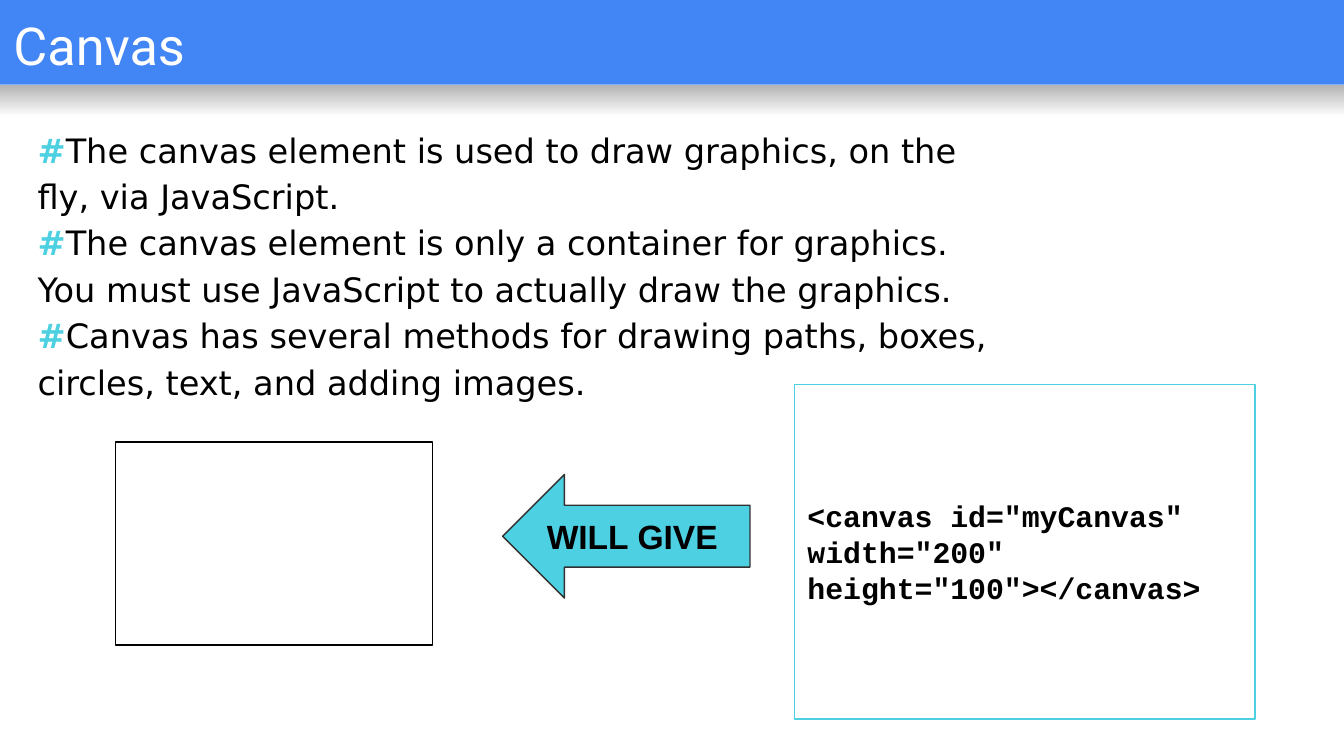
from dataclasses import dataclass
from typing import Optional

from lxml import etree
from pptx import Presentation
from pptx.dml.color import RGBColor
from pptx.enum.shapes import MSO_SHAPE
from pptx.enum.text import MSO_ANCHOR, MSO_AUTO_SIZE, PP_ALIGN
from pptx.oxml.ns import qn
from pptx.util import Inches, Pt

RECT, LEFT_ARROW = MSO_SHAPE.RECTANGLE, MSO_SHAPE.LEFT_ARROW
TOP, MIDDLE = MSO_ANCHOR.TOP, MSO_ANCHOR.MIDDLE
LEFT = PP_ALIGN.LEFT
NO_AUTOFIT = MSO_AUTO_SIZE.NONE

COLORS = {
    "blue": "4285F4",
    "cyan": "4DD0E1",
    "white": "FFFFFF",
    "black": "000000",
    "charcoal": "303030",
    "shadow": "B3B3B3",
}
POINTS = [
    "The canvas element is used to draw graphics, on the fly, via JavaScript.",
    "The canvas element is only a container for graphics. "
    "You must use JavaScript to actually draw the graphics.",
    "Canvas has several methods for drawing paths, boxes, circles, text, "
    "and adding images.",
]


@dataclass
class Box:
    shape: MSO_SHAPE
    at: tuple
    fill: Optional[str]
    line: str
    text: str = ""
    font: str = "Arial"
    size: int = 18


BOXES = [
    Box(RECT, (5.91, 2.86, 3.43, 2.49), "white", "cyan",
        '<canvas id="myCanvas" width="200" height="100"></canvas>',
        "Courier New", 16),
    Box(LEFT_ARROW, (3.74, 3.53, 1.84, 0.92), "cyan", "charcoal", "WILL GIVE"),
    Box(RECT, (0.86, 3.29, 2.36, 1.51), None, "black"),
]


def rgb(name: str) -> RGBColor:
    return RGBColor.from_string(COLORS[name])


def place(sp, at: tuple) -> None:
    sp.left, sp.top, sp.width, sp.height = map(Inches, at)


def set_frame(tf, anchor: MSO_ANCHOR) -> None:
    tf.word_wrap = True
    tf.auto_size = NO_AUTOFIT
    tf.vertical_anchor = anchor
    tf.margin_left = tf.margin_right = Inches(0.1)
    tf.margin_top = tf.margin_bottom = Inches(0.1)


def add_run(p, text: str, font: str, size: int, color: str, bold: bool) -> None:
    r = p.add_run()
    r.text = text
    r.font.name, r.font.size, r.font.bold = font, Pt(size), bold
    r.font.color.rgb = rgb(color)


def add_title(slide) -> None:
    sp = slide.shapes.title
    place(sp, (0, 0, 10, 0.63))
    sp.fill.solid()
    sp.fill.fore_color.rgb = rgb("blue")
    set_frame(sp.text_frame, TOP)
    p = sp.text_frame.paragraphs[0]
    p.alignment = LEFT
    add_run(p, "Canvas", "Roboto", 28, "white", False)


def add_points(slide) -> None:
    sp = slide.placeholders[1]
    place(sp, (0.18, 0.82, 7.46, 2.63))
    tf = sp.text_frame
    set_frame(tf, TOP)
    for i, text in enumerate(POINTS):
        p = tf.add_paragraph() if i else tf.paragraphs[0]
        p.alignment = LEFT
        p.line_spacing = 1.15
        p.space_before = Pt(0)
        pPr = p._p.get_or_add_pPr()
        pPr.set("marL", "0")
        pPr.set("indent", "0")
        etree.SubElement(pPr, qn("a:buNone"))
        add_run(p, "#", "DejaVu Sans", 18, "cyan", True)
        add_run(p, text, "DejaVu Sans", 18, "black", False)


def add_box(slide, box: Box) -> None:
    sp = slide.shapes.add_shape(box.shape, *map(Inches, box.at))
    sp.shadow.inherit = False
    if box.fill:
        sp.fill.solid()
        sp.fill.fore_color.rgb = rgb(box.fill)
    else:
        sp.fill.background()
    sp.line.color.rgb = rgb(box.line)
    sp.line.width = Pt(0.75)
    if box.text:
        set_frame(sp.text_frame, MIDDLE)
        p = sp.text_frame.paragraphs[0]
        p.alignment = LEFT
        add_run(p, box.text, box.font, box.size, "black", True)


def add_title_shadow(slide) -> None:
    sp = slide.shapes.add_shape(RECT, *map(Inches, (0, 0.63, 10, 0.24)))
    sp.shadow.inherit = False
    sp.line.fill.background()
    sp.fill.gradient()
    sp.fill.gradient_angle = 270
    for stop, color in zip(sp.fill.gradient_stops, ("shadow", "white")):
        stop.color.rgb = rgb(color)


def main() -> None:
    prs = Presentation()
    prs.slide_width = Inches(10)
    prs.slide_height = Inches(10 * 9 / 16)
    slide = prs.slides.add_slide(prs.slide_layouts[1])
    add_title(slide)
    add_points(slide)
    for box in BOXES:
        add_box(slide, box)
    add_title_shadow(slide)
    prs.save("out.pptx")


if __name__ == "__main__":
    main()
